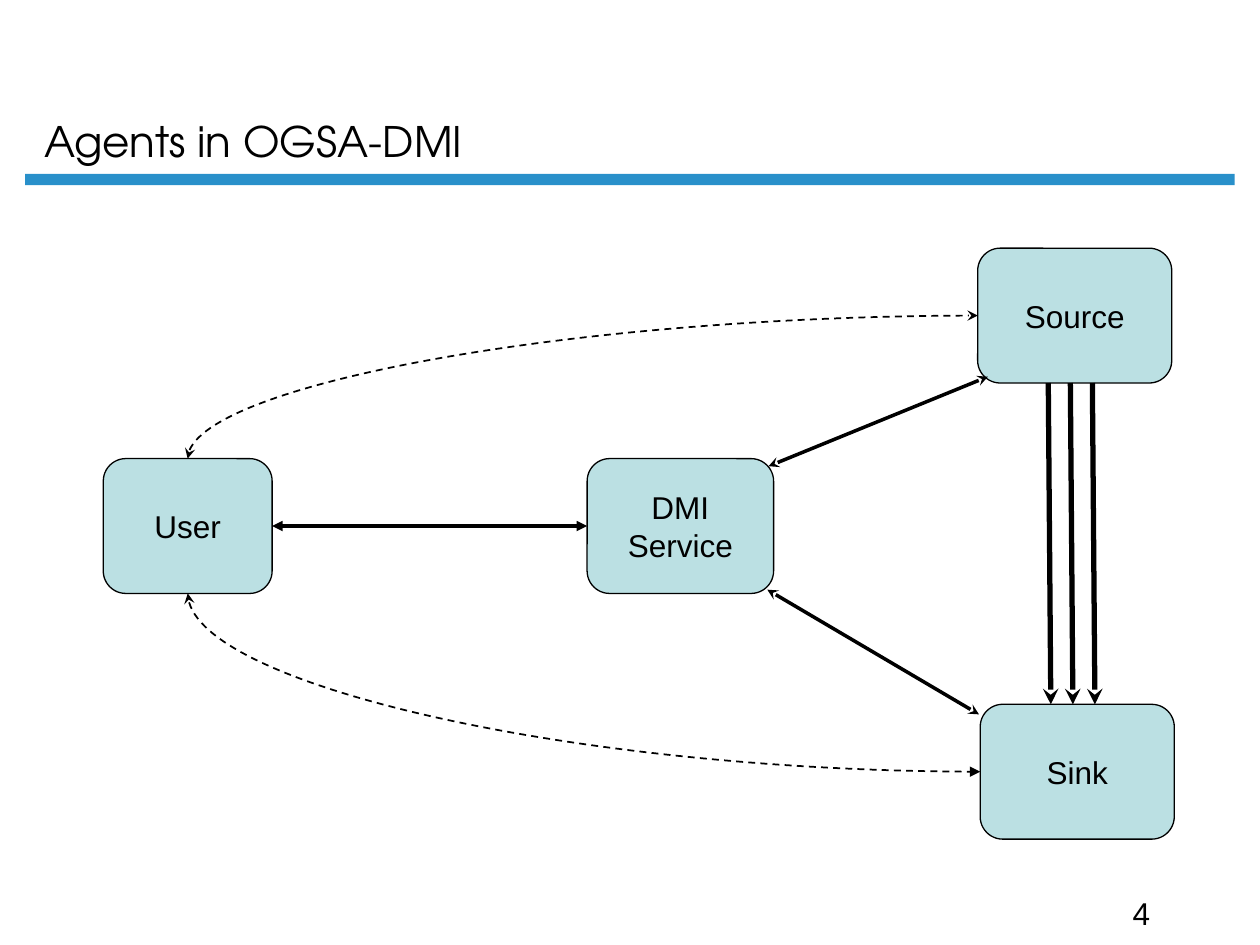
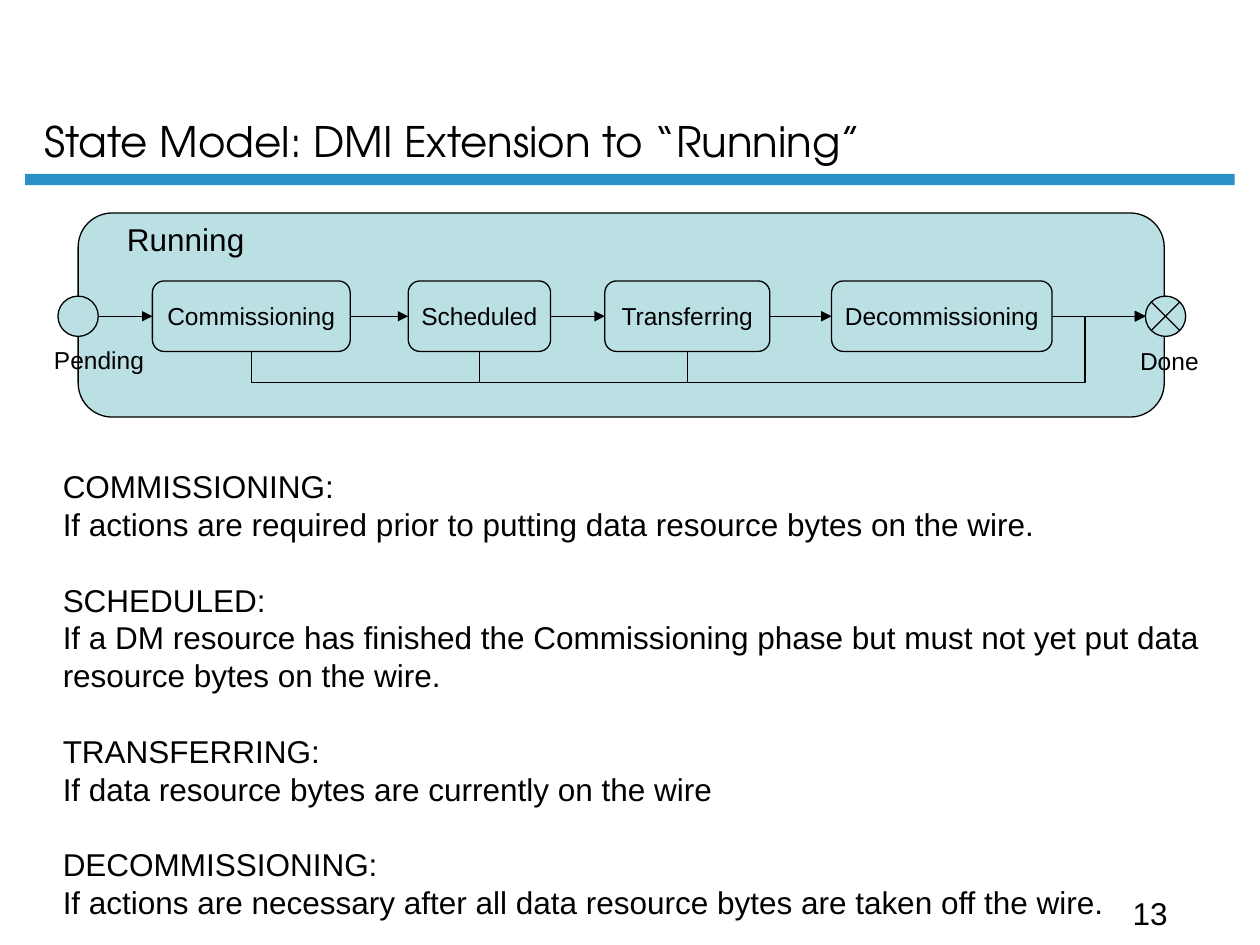
"""Build two slides on the agents and the state model of OGSA-DMI."""
from dataclasses import dataclass
from itertools import pairwise
from typing import NamedTuple, Optional, Union

from lxml.etree import SubElement
from pptx import Presentation
from pptx.dml.color import RGBColor
from pptx.enum.dml import MSO_LINE
from pptx.enum.shapes import MSO_CONNECTOR as Link, MSO_SHAPE as Preset
from pptx.enum.text import MSO_ANCHOR as Anchor, MSO_AUTO_SIZE as AutoSize, PP_ALIGN as Align
from pptx.oxml.ns import qn
from pptx.shapes.autoshape import Shape
from pptx.shapes.connector import Connector
from pptx.shapes.shapetree import GroupShapes, SlideShapes
from pptx.slide import Slide
from pptx.text.text import TextFrame
from pptx.util import Inches, Pt

Shapes = Union[SlideShapes, GroupShapes]
TOP, LEFT, BOTTOM, RIGHT = range(4)
ELLIPSE_LEFT = 2


@dataclass(frozen=True)
class Theme:
    """Colours, fonts, type sizes and line widths of the deck."""
    ink: RGBColor = RGBColor(0, 0, 0)
    band: RGBColor = RGBColor(0x29, 0x90, 0xCA)
    panel: RGBColor = RGBColor(0xBB, 0xE0, 0xE3)
    title_font: str = "TeX Gyre Adventor"
    body_font: str = "Arial"
    title_size: float = 24
    body_size: float = 18
    label_size: float = 14
    body_leading: float = 21.6
    outline: float = 0.75
    corner: float = 0.167


THEME = Theme()
WIDTH, HEIGHT = Inches(10), Inches(7.5)
COLUMNS, ROWS = 100, 75


class Cell(NamedTuple):
    """A point on the grid, in columns and rows."""
    col: float
    row: float


class Area(NamedTuple):
    """A block of the grid, in columns and rows."""
    col: float
    row: float
    cols: float
    rows: float

    @property
    def right(self) -> float:
        """Column of the right edge."""
        return self.col + self.cols

    @property
    def bottom(self) -> float:
        """Row of the bottom edge."""
        return self.row + self.rows

    @property
    def middle(self) -> Cell:
        """Centre of the block."""
        return Cell(self.col + self.cols / 2, self.row + self.rows / 2)


class Definition(NamedTuple):
    """A state and the condition under which it holds."""
    state: str
    meaning: str


class Stroke(NamedTuple):
    """Width, arrowheads and dash of a connector."""
    width: float = THEME.outline
    head: Optional[str] = None
    tail: Optional[str] = None
    dashed: bool = False


BAND = Area(2, 13.8, 96, 0.9)
TITLE = Area(2.5, 1.2, 85.6, 12.5)
NUMBER = Area(88.9, 70.5, 13.4, 4)

AGENTS = {
    "Sink": Area(77.8, 55.9, 15.4, 10.7),
    "Source": Area(77.6, 19.7, 15.4, 10.7),
    "DMI\nService": Area(46.6, 36.4, 14.8, 10.7),
    "User": Area(8.2, 36.4, 13.4, 10.7),
}
STATES = {
    "Commissioning": Area(12.1, 22.3, 15.7, 5.6),
    "Scheduled": Area(32.4, 22.3, 11.3, 5.6),
    "Transferring": Area(48, 22.3, 13.1, 5.6),
    "Decommissioning": Area(66, 22.3, 17.5, 5.6),
}
RUNNING = Area(6.2, 16.9, 86.2, 16.2)
PENDING = Area(4.6, 23.5, 3.2, 3.2)
DONE = Area(90.9, 23.5, 3.2, 3.2)
BYPASS = Cell(86.1, 30.35)
DEFINITIONS = [
    Definition("COMMISSIONING:",
               "If actions are required prior to putting data resource bytes on the wire."),
    Definition("SCHEDULED:",
               "If a DM resource has finished the Commissioning phase but must not yet put "
               "data resource bytes on the wire."),
    Definition("TRANSFERRING:", "If data resource bytes are currently on the wire"),
    Definition("DECOMMISSIONING:",
               "If actions are necessary after all data resource bytes are taken off the wire."),
]


def x(col: float) -> int:
    """Horizontal length of a number of columns."""
    return round(WIDTH * col / COLUMNS)


def y(row: float) -> int:
    """Vertical length of a number of rows."""
    return round(HEIGHT * row / ROWS)


def frame(area: Area) -> tuple[int, int, int, int]:
    """Left, top, width and height of a grid block."""
    return x(area.col), y(area.row), x(area.cols), y(area.rows)


def write(target: TextFrame, text: str, *, size: float = THEME.body_size,
          font: str = THEME.body_font, align: Align = Align.LEFT, anchor: Anchor = Anchor.TOP,
          wrap: bool = False, leading: Optional[float] = None,
          gap_every: Optional[int] = None) -> None:
    """Fill a text frame, one paragraph a line, with a gap before each group of lines."""
    target.auto_size = AutoSize.NONE
    target.word_wrap = wrap
    target.vertical_anchor = anchor
    for index, line in enumerate(text.split("\n")):
        paragraph = target.add_paragraph() if index else target.paragraphs[0]
        paragraph.alignment = align
        if leading:
            paragraph.line_spacing = Pt(leading)
        if gap_every and index and index % gap_every == 0:
            paragraph.space_before = Pt(leading or size)
        run = paragraph.add_run()
        run.text = line
        run.font.name, run.font.size = font, Pt(size)
        run.font.color.rgb = THEME.ink


def add_label(shapes: Shapes, text: str, area: Area, **text_format) -> None:
    """Place free text on the grid."""
    write(shapes.add_textbox(*frame(area)).text_frame, text, **text_format)


def add_panel(shapes: Shapes, area: Area, preset: Preset = Preset.ROUNDED_RECTANGLE,
              text: str = "", size: float = THEME.body_size) -> Shape:
    """Draw an outlined shape with centred text."""
    panel = shapes.add_shape(preset, *frame(area))
    panel.shadow.inherit = False
    panel.fill.solid()
    panel.fill.fore_color.rgb = THEME.panel
    panel.line.color.rgb = THEME.ink
    panel.line.width = Pt(THEME.outline)
    if preset == Preset.ROUNDED_RECTANGLE:
        panel.adjustments[0] = THEME.corner
    if text:
        write(panel.text_frame, text, size=size, align=Align.CENTER, anchor=Anchor.MIDDLE)
    return panel


def add_link(shapes: Shapes, start: Cell, end: Cell, stroke: Stroke,
             kind: Link = Link.STRAIGHT) -> Connector:
    """Draw a connector between two grid points."""
    link = shapes.add_connector(kind, x(start.col), y(start.row), x(end.col), y(end.row))
    link.line.color.rgb = THEME.ink
    link.line.width = Pt(stroke.width)
    if stroke.dashed:
        link.line.dash_style = MSO_LINE.DASH
    outline = link.line._get_or_add_ln()
    for tag, arrow in (("a:headEnd", stroke.head), ("a:tailEnd", stroke.tail)):
        if arrow:
            SubElement(outline, qn(tag), type=arrow)
    SubElement(link.element.spPr, qn("a:effectLst"))
    return link


def add_route(shapes: Shapes, source: Shape, side: int, target: Shape, target_site: int,
              start: Cell, end: Cell, stroke: Stroke, via: Optional[Cell] = None) -> None:
    """Leave a panel vertically: by a curve, or by right angles through a corner."""
    link = add_link(shapes, start, end, stroke, Link.ELBOW if via else Link.CURVE)
    link.begin_connect(source, side)
    link.end_connect(target, target_site)
    rise, run = end.row - start.row, end.col - start.col
    across, along = y(abs(rise)), x(abs(run))
    link.left = x((start.col + end.col) / 2) - across // 2
    link.top = y((start.row + end.row) / 2) - along // 2
    link.width, link.height = across, along
    upward = rise < 0
    transform = link.element.spPr.find(qn("a:xfrm"))
    transform.set("rot", str((90 if upward else 270) * 60000))
    transform.set("flipH", "1")
    transform.set("flipV", "1" if upward else "0")
    geometry = link.element.spPr.find(qn("a:prstGeom"))
    geometry.set("prst", "bentConnector4" if via else "curvedConnector2")
    if via:
        guides = geometry.find(qn("a:avLst"))
        shares = (via.row - start.row) / rise, (via.col - start.col) / run
        for index, share in enumerate(shares, 1):
            SubElement(guides, qn("a:gd"), name=f"adj{index}", fmla=f"val {round(share * 100000)}")


def add_titled_slide(deck: Presentation, title: str, number: int) -> Slide:
    """Add a slide with title, band and slide number."""
    slide = deck.slides.add_slide(deck.slide_layouts[5])
    heading = slide.shapes.title
    heading.left, heading.top, heading.width, heading.height = frame(TITLE)
    write(heading.text_frame, title, size=THEME.title_size, font=THEME.title_font,
          anchor=Anchor.BOTTOM, wrap=True)
    band = slide.shapes.add_shape(Preset.RECTANGLE, *frame(BAND))
    band.shadow.inherit = False
    band.fill.solid()
    band.fill.fore_color.rgb = THEME.band
    band.line.fill.background()
    add_label(slide.shapes, str(number), NUMBER, wrap=True)
    return slide


def build_agents(deck: Presentation) -> None:
    """Show how user, service, source and sink talk to each other."""
    shapes = add_titled_slide(deck, "Agents in OGSA-DMI", 4).shapes
    agents = {name: add_panel(shapes, area, text=name) for name, area in AGENTS.items()}
    user, source, sink = AGENTS["User"], AGENTS["Source"], AGENTS["Sink"]

    control = Stroke(2, "stealth", "stealth")
    add_link(shapes, Cell(61, 37), Cell(78.4, 29.9), control)
    add_link(shapes, Cell(60.9, 46.8), Cell(77.7, 56.7), control)
    add_route(shapes, agents["User"], TOP, agents["Source"], LEFT,
              Cell(user.middle.col, user.row), Cell(source.col, source.middle.row),
              Stroke(1, "stealth", "stealth", dashed=True))
    add_route(shapes, agents["User"], BOTTOM, agents["Sink"], LEFT,
              Cell(user.middle.col, user.bottom), Cell(sink.col, sink.middle.row),
              Stroke(1, "stealth", "triangle", dashed=True))
    for stream in range(3):
        col = 83.2 + 1.75 * stream
        add_link(shapes, Cell(col, source.bottom), Cell(col + 0.2, sink.row),
                 Stroke(3, tail="stealth"))
    request = add_link(shapes, user.middle, AGENTS["DMI\nService"].middle,
                       Stroke(2, "triangle", "triangle"))
    request.begin_connect(agents["User"], RIGHT)
    request.end_connect(agents["DMI\nService"], LEFT)


def build_state_model(deck: Presentation) -> None:
    """Show the states inside Running and define them."""
    shapes = add_titled_slide(deck, "State Model: DMI Extension to “Running”", 13).shapes
    add_panel(shapes, RUNNING)
    add_panel(shapes, PENDING, Preset.OVAL)
    add_label(shapes, "Running", Area(9.1, 17, 11.3, 4))
    add_label(shapes, "Pending", Area(3.3, 26.9, 9.1, 3.4), size=THEME.label_size)
    add_label(shapes, "Done", Area(89.5, 27, 6.6, 3.4), size=THEME.label_size)
    states = {name: add_panel(shapes, area, text=name, size=THEME.label_size)
              for name, area in STATES.items()}

    end_mark = shapes.add_group_shape().shapes
    done = add_panel(end_mark, DONE, Preset.OVAL)
    reach = 1.14
    for slope in (1, -1):
        add_link(end_mark, Cell(DONE.middle.col - reach, DONE.middle.row - slope * reach),
                 Cell(DONE.middle.col + reach, DONE.middle.row + slope * reach), Stroke())

    step = Stroke(tail="triangle")
    finish = Cell(DONE.col, DONE.middle.row)
    first, last = list(states)[0], list(states)[-1]
    entry = add_link(shapes, Cell(PENDING.right, PENDING.middle.row), STATES[first].middle, step)
    entry.end_connect(states[first], LEFT)
    for before, after in pairwise(states):
        move = add_link(shapes, STATES[before].middle, STATES[after].middle, step)
        move.begin_connect(states[before], RIGHT)
        move.end_connect(states[after], LEFT)
    leave = add_link(shapes, STATES[last].middle, finish, step)
    leave.begin_connect(states[last], RIGHT)

    add_label(shapes, "\n".join(line for entry in DEFINITIONS for line in entry),
              Area(4, 36.6, 93.3, 37), wrap=True, leading=THEME.body_leading, gap_every=2)
    for name in list(states)[-2::-1]:
        area = STATES[name]
        add_route(shapes, states[name], BOTTOM, done, ELLIPSE_LEFT,
                  Cell(area.middle.col, area.bottom), finish, step, via=BYPASS)


def main() -> None:
    """Build and save the deck."""
    deck = Presentation()
    deck.slide_width, deck.slide_height = WIDTH, HEIGHT
    build_agents(deck)
    build_state_model(deck)
    deck.save("out.pptx")


if __name__ == "__main__":
    main()
